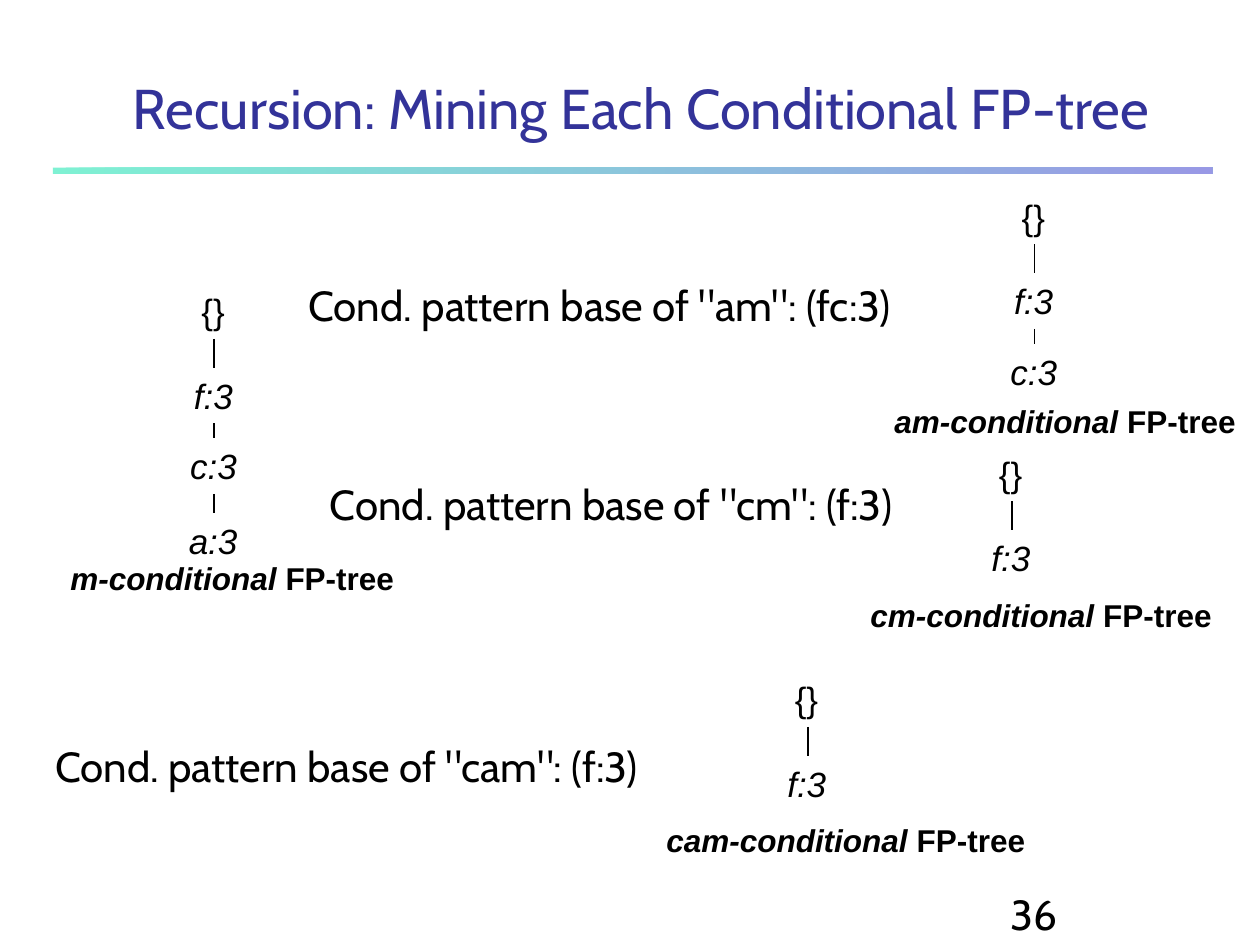
from lxml import etree
from pptx import Presentation
from pptx.dml.color import RGBColor
from pptx.enum.shapes import MSO_CONNECTOR, MSO_SHAPE
from pptx.enum.text import MSO_ANCHOR, MSO_AUTO_SIZE, PP_ALIGN
from pptx.oxml.ns import qn
from pptx.util import Emu, Pt

PX = 9144  # 100 px to the inch
STRAIGHT = MSO_CONNECTOR.STRAIGHT
RECT = MSO_SHAPE.RECTANGLE
BOTTOM, CENTER = MSO_ANCHOR.BOTTOM, PP_ALIGN.CENTER
NO_FIT, GROW = MSO_AUTO_SIZE.NONE, MSO_AUTO_SIZE.SHAPE_TO_FIT_TEXT
COLORS = {"title": "333399", "text": "000000", "line": "000000",
          "rule_start": "00E4A8", "rule_end": "3333CC"}
LEVELS = [0, 67, 123, 182]  # tops of a tree's nodes below its root
NODE_WIDTHS = {"{}": 40, "f:3": 52, "c:3": 58, "a:3": 60}

# Trees: name, root centre, root top, nodes, caption (left, top, width)
TREES = [
    ("m", 170, 225, ["{}", "f:3", "c:3", "a:3"], (46, 439, 277)),
    ("am", 821, 150, ["{}", "f:3", "c:3"], (700, 314, 291)),
    ("cm", 803, 354, ["{}", "f:3"], (681, 468, 291)),
    ("cam", 641, 533, ["{}", "f:3"], (519, 647, 305)),
]
# Pattern bases: text, box
BASES = [
    ('Cond. pattern base of "am": (fc:3)', (235, 217, 542, 50)),
    ('Cond. pattern base of "cm": (f:3)', (252, 375, 524, 50)),
    ('Cond. pattern base of "cam": (f:3)', (34, 583, 542, 50)),
]


def px(*values):
    return [Emu(round(v * PX)) for v in values]


def rgb(name):
    return RGBColor.from_string(COLORS[name])


def add_run(p, text, size, font, color="text", bold=False, italic=False):
    r = p.add_run()
    r.text = text
    r.font.size, r.font.name = Pt(size), font
    r.font.bold, r.font.italic = bold, italic
    r.font.color.rgb = rgb(color)


def add_text(slide, box, runs, size, font, wrap=False, fit=GROW):
    """Each run is (text, bold, italic)."""
    sp = slide.shapes.add_textbox(*px(*box))
    tf = sp.text_frame
    tf.word_wrap, tf.auto_size = wrap, fit
    for text, bold, italic in runs:
        add_run(tf.paragraphs[0], text, size, font, bold=bold, italic=italic)
    return sp


def add_rule(slide, box):
    sp = slide.shapes.add_shape(RECT, *px(*box))
    sp.shadow.inherit = False
    sp.line.fill.background()
    sp.fill.gradient()
    sp.fill.gradient_angle = 0
    for stop, name in zip(sp.fill.gradient_stops, ("rule_start", "rule_end")):
        stop.color.rgb = rgb(name)
    for color in sp.fill._xPr.iter(qn("a:srgbClr")):
        etree.SubElement(color, qn("a:alpha"), val="50000")


def add_title(slide, box, text):
    sp = slide.shapes.title
    sp.left, sp.top, sp.width, sp.height = px(*box)
    tf = sp.text_frame
    tf.vertical_anchor, tf.auto_size, tf.word_wrap = BOTTOM, NO_FIT, True
    p = tf.paragraphs[0]
    p.alignment = CENTER
    add_run(p, text, 32, "Cabin", "title")


def add_branch(slide, parent, child):
    line = slide.shapes.add_connector(STRAIGHT, 0, 0, 0, 0)
    line.begin_connect(parent, 2)
    line.end_connect(child, 0)
    line.line.color.rgb = rgb("line")
    line.line.width = Pt(1)
    etree.SubElement(line._element.spPr, qn("a:effectLst"))


def add_tree(slide, name, center, top, nodes, caption):
    parent = None
    for text, level in zip(nodes, LEVELS):
        width = NODE_WIDTHS[text]
        box = (center - width / 2, top + level, width, 44)
        node = add_text(slide, box, [(text, False, text != "{}")], 20, "Arial")
        if parent is not None:
            add_branch(slide, parent, node)
        parent = node
    add_text(slide, (*caption, 40),
             [(f"{name}-conditional ", True, True), ("FP-tree", True, False)],
             18, "Arial")


def main():
    prs = Presentation()
    prs.slide_width, prs.slide_height = px(1000, 750)
    slide = prs.slides.add_slide(prs.slide_layouts[5])

    # Heading
    add_rule(slide, (42, 133, 920, 5))
    add_title(slide, (42, 42, 934, 75),
              "Recursion: Mining Each Conditional FP-tree")

    # Conditional trees and their pattern bases
    for tree in TREES:
        add_tree(slide, *tree)
    for text, box in BASES:
        add_text(slide, box, [(text, False, False)], 24, "Cabin", wrap=True)

    # Page number
    number = add_text(slide, (792, 708, 208, 42), [("36", False, False)],
                      24, "Cabin", wrap=True, fit=NO_FIT)
    number.text_frame.vertical_anchor = BOTTOM

    prs.save("out.pptx")


if __name__ == "__main__":
    main()
